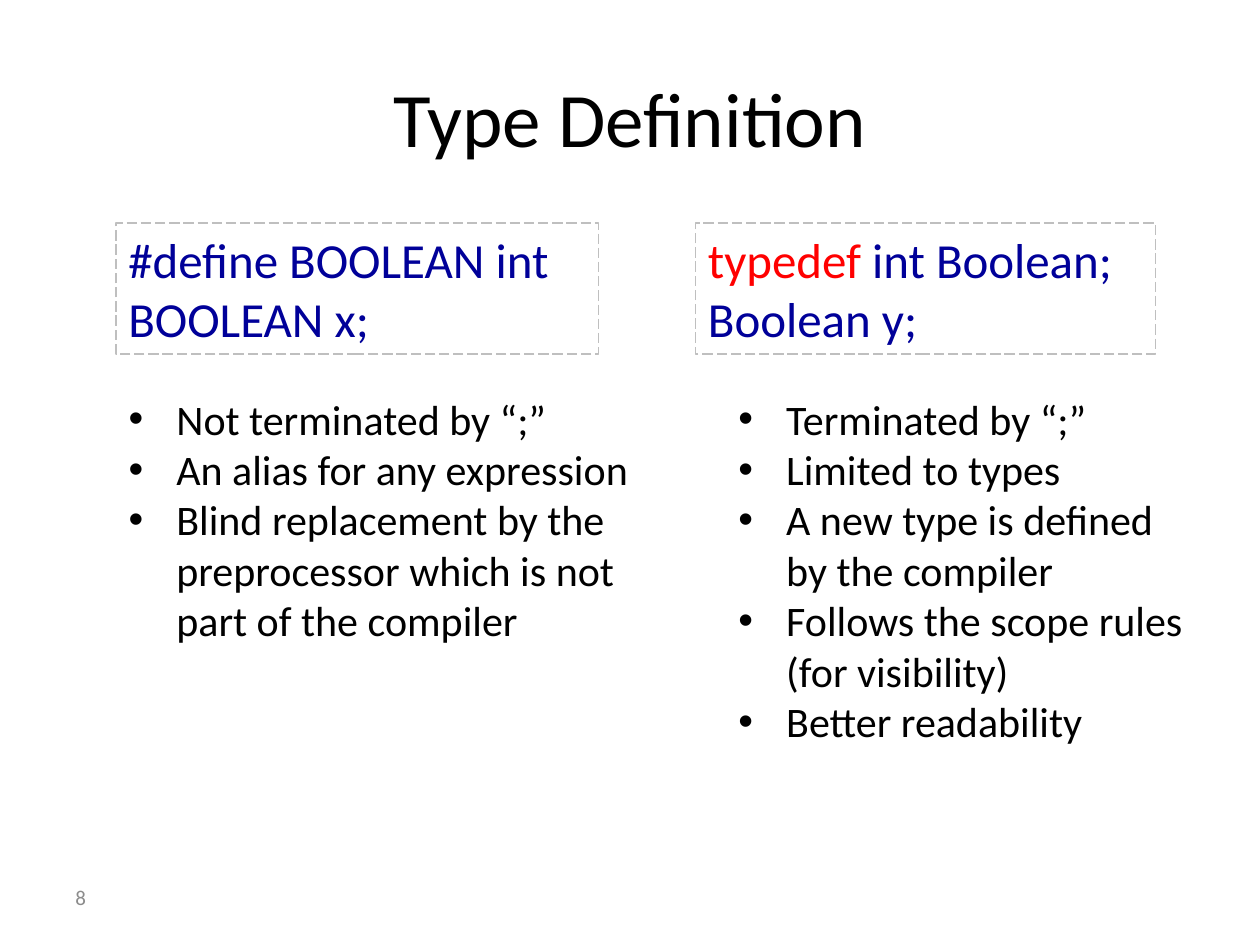
from lxml import etree
from pptx import Presentation
from pptx import util as u
from pptx.dml.color import RGBColor
from pptx.enum import dml, shapes, text
from pptx.oxml.ns import qn

COLORS = {"ink": "000000", "code": "000099", "keyword": "FF0000",
          "border": "BFBFBF", "number": "8C8C8C"}
TWO_CONTENT = 3
CODE_TOP, CODE_HEIGHT = 1.77, 1.04
LIST_TOP = 3.07
INDENT = 0.38

COLUMNS = [
    {"code": (0.92, 3.83),
     "lines": [[("#define BOOLEAN int", "code")], [("BOOLEAN x;", "code")]],
     "list": (0.92, 4.5, 2.12),
     "points": ["Not terminated by “;”",
                "An alias for any expression",
                "Blind replacement by the preprocessor which is not part of the compiler"]},
    {"code": (5.52, 3.65),
     "lines": [[("typedef ", "keyword"), ("int Boolean;", "code")],
               [("Boolean y;", "code")]],
     "list": (5.76, 3.82, 3.33),
     "points": ["Terminated by “;”",
                "Limited to types",
                "A new type is defined by the compiler",
                "Follows the scope rules (for visibility)",
                "Better readability"]},
]


def rgb(name):
    """Return the named palette colour."""
    return RGBColor.from_string(COLORS[name])


def place(shape, left, top, width, height):
    """Move and size a shape, in inches."""
    shape.left, shape.top = u.Inches(left), u.Inches(top)
    shape.width, shape.height = u.Inches(width), u.Inches(height)


def add_bullet(paragraph):
    """Give a paragraph a round bullet with a hanging indent."""
    properties = paragraph._p.get_or_add_pPr()
    properties.set("marL", str(u.Inches(INDENT)))
    properties.set("indent", str(-u.Inches(INDENT)))
    etree.SubElement(properties, qn("a:buFont")).set("typeface", "Arial")
    etree.SubElement(properties, qn("a:buChar")).set("char", "•")


def write(shape, lines, size, align=text.PP_ALIGN.LEFT,
          anchor=text.MSO_ANCHOR.TOP, bullets=False):
    """Fill a shape with lines, each a list of (words, colour) runs."""
    frame = shape.text_frame
    frame.word_wrap = True
    frame.auto_size = text.MSO_AUTO_SIZE.NONE
    frame.vertical_anchor = anchor
    for index, runs in enumerate(lines):
        paragraph = frame.add_paragraph() if index else frame.paragraphs[0]
        paragraph.alignment = align
        paragraph.space_before = u.Pt(0)
        if bullets:
            add_bullet(paragraph)
        for words, color in runs:
            run = paragraph.add_run()
            run.text = words
            run.font.name = "Calibri"
            run.font.size = u.Pt(size)
            run.font.color.rgb = rgb(color)


def add_code_box(slide, left, width, lines):
    """Add a dashed box that holds lines of code."""
    box = slide.shapes.add_shape(shapes.MSO_SHAPE.RECTANGLE, 0, 0, 0, 0)
    place(box, left, CODE_TOP, width, CODE_HEIGHT)
    box.shadow.inherit = False
    box.fill.background()
    box.line.color.rgb = rgb("border")
    box.line.width = u.Pt(0.75)
    box.line.dash_style = dml.MSO_LINE.LONG_DASH
    write(box, lines, 28)


def fill_list(placeholder, left, width, height, points):
    """Turn a body placeholder into a bulleted list."""
    place(placeholder, left, LIST_TOP, width, height)
    write(placeholder, [[(point, "ink")] for point in points], 24, bullets=True)


def add_page_number(slide, number):
    """Add the page number at the lower left."""
    box = slide.shapes.add_textbox(0, 0, 0, 0)
    place(box, 0.5, 6.92, 2.33, 0.4)
    write(box, [[(number, "number")]], 12, anchor=text.MSO_ANCHOR.MIDDLE)


def main():
    """Build the slide and save it."""
    presentation = Presentation()
    presentation.slide_width, presentation.slide_height = u.Inches(10), u.Inches(7.5)
    slide = presentation.slides.add_slide(presentation.slide_layouts[TWO_CONTENT])
    title, *bodies = slide.placeholders
    place(title, 0.5, 0.3, 9, 1.25)
    write(title, [[("Type Definition", "ink")]], 44,
          align=text.PP_ALIGN.CENTER, anchor=text.MSO_ANCHOR.MIDDLE)
    for column, body in zip(COLUMNS, bodies):
        add_code_box(slide, *column["code"], column["lines"])
        fill_list(body, *column["list"], column["points"])
    add_page_number(slide, "8")
    presentation.save("out.pptx")


if __name__ == "__main__":
    main()
